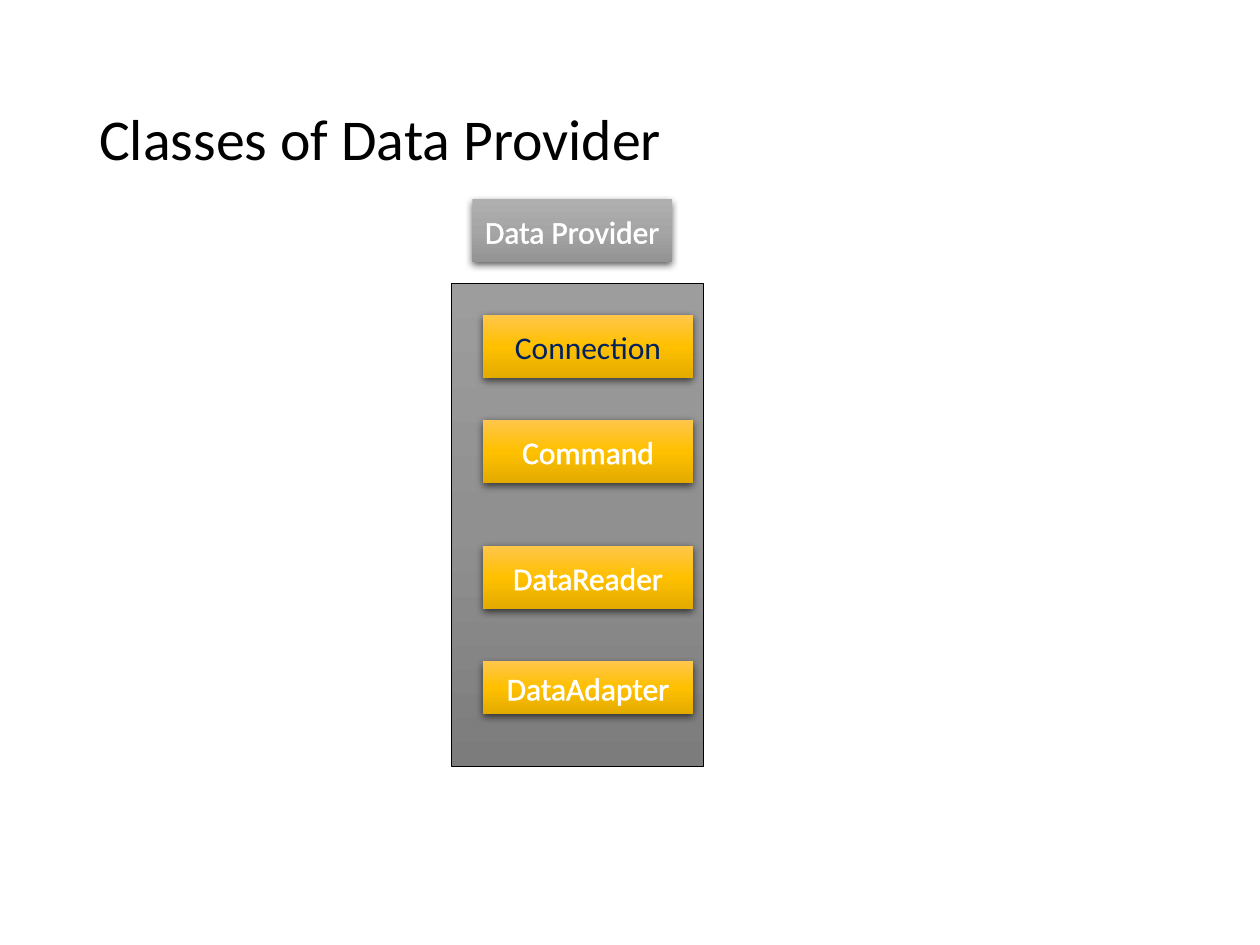
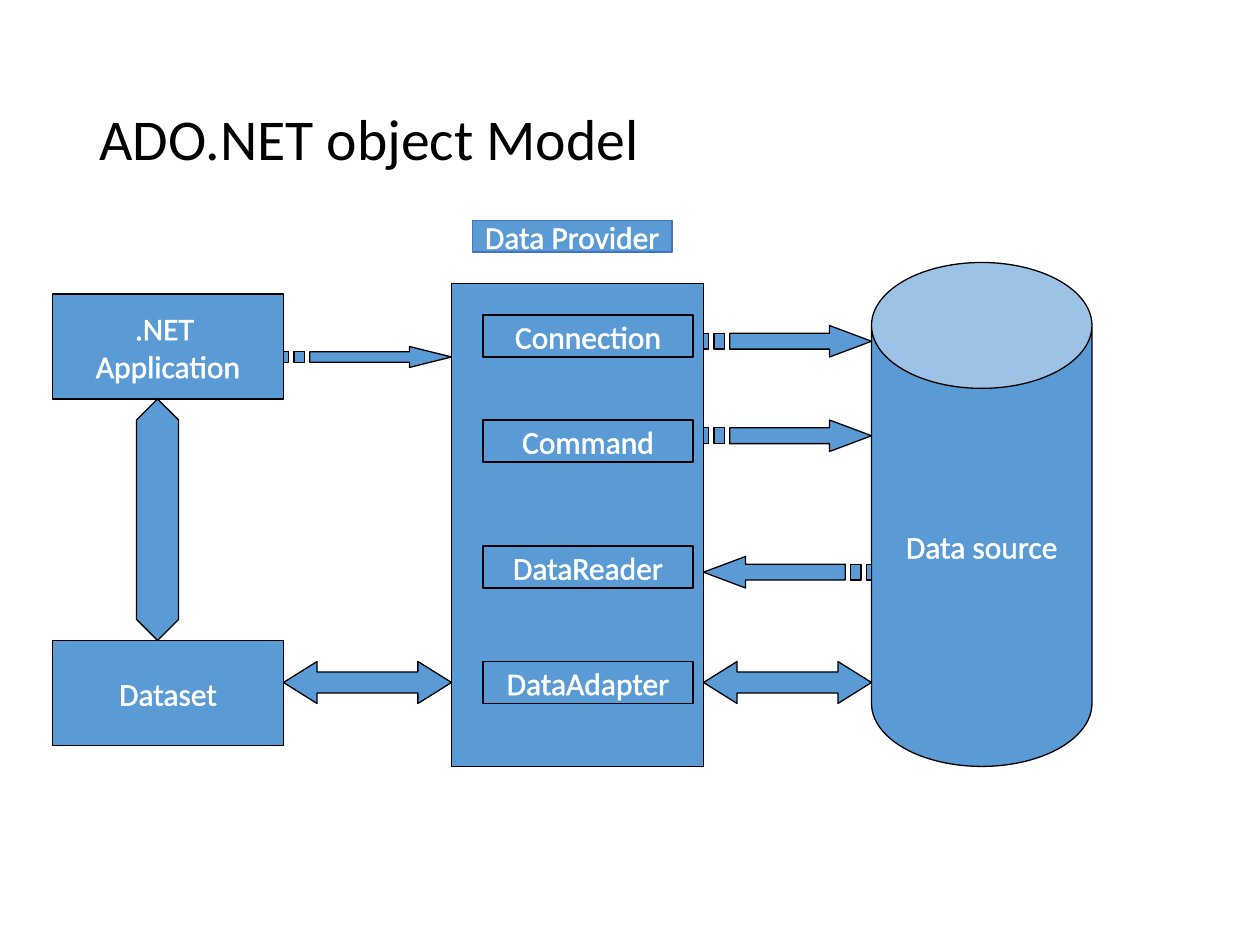
from copy import deepcopy

from lxml.etree import SubElement
from pptx import Presentation
from pptx.dml.color import RGBColor
from pptx.enum.shapes import MSO_SHAPE as Preset
from pptx.enum.text import MSO_ANCHOR as Anchor, PP_ALIGN as Align
from pptx.oxml.ns import qn
from pptx.util import Pt

# Content
CLASSES_TITLE = "Classes of Data Provider"
MODEL_TITLE = "ADO.NET object Model"
PROVIDER = "Data Provider"
MEMBER_TOPS = {"Connection": 180, "Command": 240, "DataReader": 312, "DataAdapter": 378}
STORES = [  # text, preset, box
    (".NET \nApplication", Preset.RECTANGLE, (30, 168, 132, 60)),
    ("Dataset", Preset.RECTANGLE, (30, 366, 132, 60)),
    ("Data source", Preset.CAN, (498, 150, 126, 288)),
]
CALLS = [  # box, points left
    ((162, 198, 96, 12), False),
    ((402, 186, 96, 18), False),
    ((402, 240, 96, 18), False),
    ((402, 318, 96, 18), True),
]
EXCHANGES = [  # preset, box, head length relative to thickness
    (Preset.UP_DOWN_ARROW, (78, 228, 24, 138), 1.15),
    (Preset.LEFT_RIGHT_ARROW, (402, 378, 96, 24), 0.8),
    (Preset.LEFT_RIGHT_ARROW, (162, 378, 96, 24), 0.8),
]

# Shared look
FONT = "Calibri"
BLACK = RGBColor(0x00, 0x00, 0x00)
WHITE = RGBColor(0xFF, 0xFF, 0xFF)
NAVY = RGBColor(0x00, 0x20, 0x60)
BLUE = RGBColor(0x5B, 0x9B, 0xD5)
ROYAL = RGBColor(0x44, 0x72, 0xC4)
DARK_GRAYS = [RGBColor(0x9D, 0x9D, 0x9D), RGBColor(0x90, 0x90, 0x90), RGBColor(0x7C, 0x7C, 0x7C)]
GRAYS = [RGBColor(0xAF, 0xAF, 0xAF), RGBColor(0xA5, 0xA5, 0xA5), RGBColor(0x93, 0x93, 0x93)]
GOLDS = [RGBColor(0xFF, 0xC6, 0x4B), RGBColor(0xFF, 0xC0, 0x00), RGBColor(0xE3, 0xAB, 0x00)]
TITLE_BOX = (49.5, 28.75, 621, 104.4)
PANEL_BOX = (258, 162, 144, 276)
MEMBER_LEFT, MEMBER_WIDTH = 276, 120
HEADER_LEFT, HEADER_WIDTH = 270, 114

# Striped arrow outlines as fractions of its box
ARROW_PARTS = [
    [(.75, 0), (.75, .25), (5 / 32, .25), (5 / 32, .75), (.75, .75), (.75, 1), (1, .5)],
    [(1 / 16, .25), (1 / 16, .75), (1 / 8, .75), (1 / 8, .25)],
    [(0, .25), (0, .75), (1 / 32, .75), (1 / 32, .25)],
]


def add_titled_slide(deck, title):
    slide = deck.slides.add_slide(deck.slide_layouts[5])
    heading = slide.shapes.title
    heading.left, heading.top, heading.width, heading.height = map(Pt, TITLE_BOX)
    frame = heading.text_frame
    frame.text = title
    frame.vertical_anchor = Anchor.MIDDLE
    line = frame.paragraphs[0]
    line.alignment, line.line_spacing = Align.LEFT, 0.9
    font = line.runs[0].font
    font.name, font.size, font.color.rgb = FONT, Pt(33), BLACK
    return slide


def paint(shape, fill, edge=BLACK, edge_width=0.75):
    """Fill with one colour or a list of three top-to-bottom gradient colours."""
    shape.shadow.inherit = False
    if isinstance(fill, list):
        shape.fill.gradient()
        shape.fill.gradient_angle = 270
        stops = shape._element.spPr.find(".//" + qn("a:gsLst"))
        stops.append(deepcopy(stops[0]))
        for stop, color, position in zip(shape.fill.gradient_stops, fill, (0, 0.5, 1)):
            stop.color.rgb, stop.position = color, position
    else:
        shape.fill.solid()
        shape.fill.fore_color.rgb = fill
    if edge is None:
        shape.line.fill.background()
    else:
        shape.line.color.rgb, shape.line.width = edge, Pt(edge_width)


def outline_letters(run):
    properties = run._r.get_or_add_rPr()
    outline = SubElement(properties, qn("a:ln"), w=str(Pt(1.45)))
    properties.insert(0, outline)
    solid = SubElement(outline, qn("a:solidFill"))
    SubElement(solid, qn("a:srgbClr"), val=str(WHITE))


def write(shape, text, color=WHITE):
    frame = shape.text_frame
    frame.text = text
    frame.word_wrap = False
    frame.vertical_anchor = Anchor.MIDDLE
    for paragraph in frame.paragraphs:
        paragraph.alignment = Align.CENTER
        for run in paragraph.runs:
            run.font.name, run.font.size, run.font.color.rgb = FONT, Pt(18), color
            outline_letters(run)


def cast_shadow(shape):
    effects = shape._element.spPr.find(qn("a:effectLst"))
    shadow = SubElement(effects, qn("a:outerShdw"), blurRad=str(Pt(4.5)), dist=str(Pt(1.5)),
                        dir="5400000", algn="ctr", rotWithShape="0")
    tint = SubElement(shadow, qn("a:srgbClr"), val=str(BLACK))
    SubElement(tint, qn("a:alpha"), val="63000")


def add_box(slide, box, fill, text=None, preset=Preset.RECTANGLE, color=WHITE, **edge):
    shape = slide.shapes.add_shape(preset, *map(Pt, box))
    paint(shape, fill, **edge)
    if text:
        write(shape, text, color)
    return shape


def add_striped_arrow(slide, box, points_left):
    left, top, width, height = box

    def place(point):
        x, y = (1 - point[0], 1 - point[1]) if points_left else point
        return Pt(left + x * width), Pt(top + y * height)

    outlines = [[place(point) for point in part] for part in ARROW_PARTS]
    builder = slide.shapes.build_freeform(*outlines[0][0])
    for index, (start, *rest) in enumerate(outlines):
        if index:
            builder.move_to(*start)
        builder.add_line_segments(rest, close=True)
    paint(builder.convert_to_shape(), BLUE)


def build_classes(deck):
    slide = add_titled_slide(deck, CLASSES_TITLE)
    add_box(slide, PANEL_BOX, DARK_GRAYS, edge_width=0.5)
    cast_shadow(add_box(slide, (HEADER_LEFT, 114, HEADER_WIDTH, 36), GRAYS, PROVIDER, edge=None))
    for member, top in MEMBER_TOPS.items():
        height = 30 if member == "DataAdapter" else 36
        color = NAVY if member == "Connection" else WHITE
        cast_shadow(add_box(slide, (MEMBER_LEFT, top, MEMBER_WIDTH, height), GOLDS, member,
                            color=color, edge=None))


def build_model(deck):
    slide = add_titled_slide(deck, MODEL_TITLE)
    add_box(slide, PANEL_BOX, BLUE)
    for text, preset, box in STORES:
        store = add_box(slide, box, BLUE, text, preset)
        if preset == Preset.CAN:
            store.adjustments[0] = 0.571
    add_box(slide, (HEADER_LEFT, 126, HEADER_WIDTH, 18), BLUE, PROVIDER, edge=ROYAL)
    for member, top in MEMBER_TOPS.items():
        add_box(slide, (MEMBER_LEFT, top, MEMBER_WIDTH, 24), BLUE, member)
    # Arrows between the parts
    for box, points_left in CALLS:
        add_striped_arrow(slide, box, points_left)
    for preset, box, head in EXCHANGES:
        exchange = add_box(slide, box, BLUE, preset=preset)
        exchange.adjustments[0], exchange.adjustments[1] = 0.5, head


def main():
    deck = Presentation()
    deck.slide_width, deck.slide_height = Pt(720), Pt(540)
    build_classes(deck)
    build_model(deck)
    deck.save("out.pptx")


if __name__ == "__main__":
    main()
